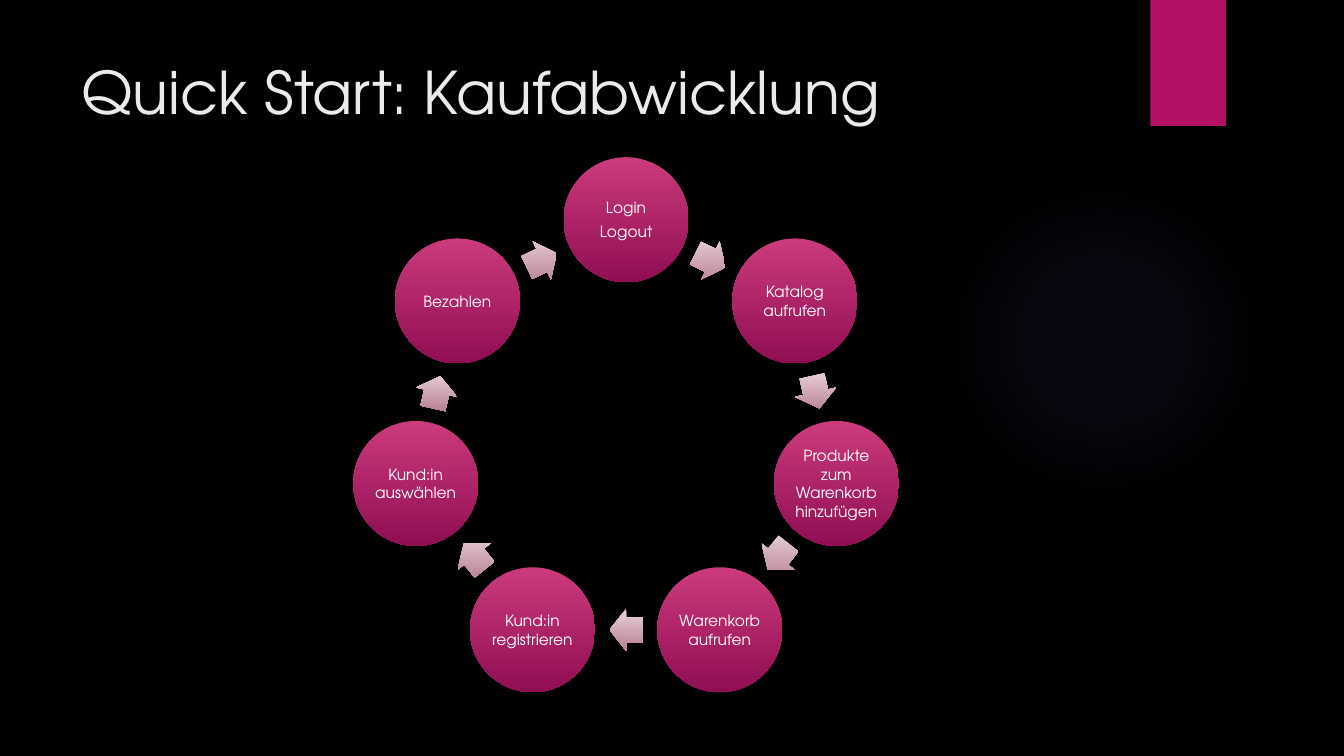
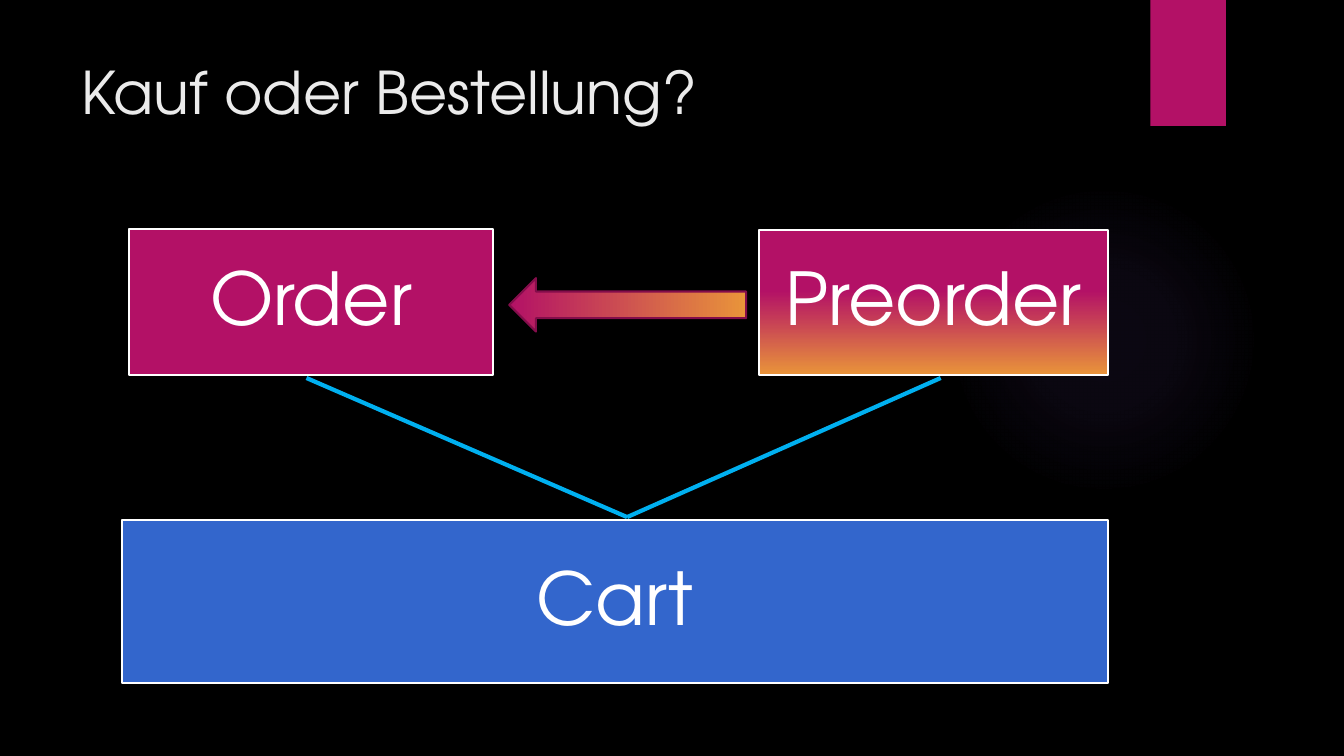
from math import cos, pi, sin

from lxml import etree
from pptx import Presentation
from pptx.dml.color import RGBColor
from pptx.enum import shapes, text
from pptx.oxml.ns import qn
from pptx.util import Inches, Pt

FONT = "TeX Gyre Adventor"
BLACK, WHITE, TITLE = "000000", "FFFFFF", "EBEBEB"
MAGENTA, ORANGE, BLUE, CYAN = "B31166", "E9943A", "3366CC", "00B0F0"
DARK_MAGENTA, VIOLET = "840D4B", "9B6BF2"
STEP_FILL = [(0, "CB3B7C"), (1, "900E52")]
STEP_ARROW_FILL = [(0, "E9D2D9"), (1, "B77E8F")]
GLOW = [(0, 7), (36, 6), (69, 0)]
DOWNWARD, RIGHTWARD = 270, 0

CYCLE_TITLE = "Quick Start: Kaufabwicklung"
STEPS = [
    "Login\nLogout",
    "Katalog aufrufen",
    "Produkte zum Warenkorb hinzufügen",
    "Warenkorb aufrufen",
    "Kund:in registrieren",
    "Kund:in auswählen",
    "Bezahlen",
]
CYCLE_X, CYCLE_Y, CYCLE_RADIUS = 6.21, 4.32, 2.14
STEP_SIZE = 1.24
ARROW_W, ARROW_H = 0.33, 0.42

ORDER_TITLE = "Kauf oder Bestellung?"
BOXES = [
    ("Order", (1.28, 2.27, 3.61, 1.45), MAGENTA),
    ("Preorder", (7.53, 2.28, 3.46, 1.44), [(0.42, MAGENTA), (1, ORANGE)]),
    ("Cart", (1.21, 5.16, 9.78, 1.62), BLUE),
]
ORDER_ARROW = (5.05, 2.76, 2.35, 0.53)
CART_JOINT = (6.22, 5.13)
BRANCH_ENDS = [(3.04, 3.75), (9.33, 3.75)]


def rgb(color):
    return RGBColor.from_string(color)


def paint(shape, fill, angle=DOWNWARD):
    if isinstance(fill, str):
        shape.fill.solid()
        shape.fill.fore_color.rgb = rgb(fill)
        return
    shape.fill.gradient()
    shape.fill.gradient_angle = angle
    for stop, (position, color) in zip(shape.fill.gradient_stops, fill):
        stop.position = position
        stop.color.rgb = rgb(color)
    shape._element.spPr.find(qn("a:gradFill")).set("rotWithShape", "0")


def add_shape(slide, kind, box, fill, line=None, angle=DOWNWARD):
    shape = slide.shapes.add_shape(kind, *map(Inches, box))
    shape.shadow.inherit = False
    paint(shape, fill, angle)
    if line:
        shape.line.color.rgb = rgb(line)
        shape.line.width = Pt(1.5)
    else:
        shape.line.fill.background()
    return shape


def write(shape, words, size, color=WHITE):
    frame = shape.text_frame
    frame.word_wrap = True
    frame.text = words
    for paragraph in frame.paragraphs:
        for run in paragraph.runs:
            run.font.name = FONT
            run.font.size = Pt(size)
            run.font.color.rgb = rgb(color)
    return frame


def write_centred(shape, words, size, inset, line_spacing=1.0):
    frame = write(shape, words, size)
    frame.vertical_anchor = text.MSO_ANCHOR.MIDDLE
    frame.margin_left = frame.margin_right = Inches(inset)
    frame.margin_top = frame.margin_bottom = Inches(inset)
    for paragraph in frame.paragraphs:
        paragraph.alignment = text.PP_ALIGN.CENTER
        paragraph.line_spacing = line_spacing
        paragraph.space_after = Pt(round(size * 0.35))


def add_glow(slide):
    glow = add_shape(slide, shapes.MSO_SHAPE.OVAL, (9.41, 1.83, 3.08, 3.08), VIOLET)
    solid = glow._element.spPr.find(qn("a:solidFill"))
    gradient = etree.Element(qn("a:gradFill"), rotWithShape="1")
    stops = etree.SubElement(gradient, qn("a:gsLst"))
    for position, alpha in GLOW:
        stop = etree.SubElement(stops, qn("a:gs"), pos=str(position * 1000))
        color = etree.SubElement(stop, qn("a:srgbClr"), val=VIOLET)
        etree.SubElement(color, qn("a:alpha"), val=str(alpha * 1000))
    circle = etree.SubElement(gradient, qn("a:path"))
    circle.set("path", "circle")
    etree.SubElement(circle, qn("a:fillToRect"), l="50000", t="50000", r="50000", b="50000")
    solid.getparent().replace(solid, gradient)


def add_slide(prs, title):
    slide = prs.slides.add_slide(prs.slide_layouts[6])
    slide.background.fill.solid()
    slide.background.fill.fore_color.rgb = rgb(BLACK)
    add_glow(slide)
    add_shape(slide, shapes.MSO_SHAPE.RECTANGLE, (11.41, 0, 0.75, 1.25), MAGENTA)
    heading = slide.shapes.add_textbox(*map(Inches, (0.71, 0.5, 10.29, 1.24)))
    write(heading, title, 42, TITLE)
    return slide


def cycle_box(angle, radius, width, height):
    x = CYCLE_X + radius * sin(angle)
    y = CYCLE_Y - radius * cos(angle)
    return x - width / 2, y - height / 2, width, height


def add_cycle(slide):
    turn = 2 * pi / len(STEPS)
    for i, words in enumerate(STEPS):
        box = cycle_box(i * turn, CYCLE_RADIUS, STEP_SIZE, STEP_SIZE)
        step = add_shape(slide, shapes.MSO_SHAPE.OVAL, box, STEP_FILL)
        write_centred(step, words, 11, 0.02)

        halfway = (i + 0.5) * turn
        box = cycle_box(halfway, CYCLE_RADIUS * cos(turn / 2), ARROW_W, ARROW_H)
        arrow = add_shape(slide, shapes.MSO_SHAPE.RIGHT_ARROW, box, STEP_ARROW_FILL)
        arrow.adjustments[0] = 0.6
        arrow.adjustments[1] = 0.5
        arrow.rotation = (i + 0.5) * 360 / len(STEPS)


def add_order_model(slide):
    for words, box, fill in BOXES:
        entity = add_shape(slide, shapes.MSO_SHAPE.RECTANGLE, box, fill, WHITE)
        write_centred(entity, words, 52, 0.22, 0.9)
    add_shape(slide, shapes.MSO_SHAPE.LEFT_ARROW, ORDER_ARROW,
              [(0, MAGENTA), (1, ORANGE)], DARK_MAGENTA, RIGHTWARD)
    for end in BRANCH_ENDS:
        branch = slide.shapes.add_connector(
            shapes.MSO_CONNECTOR.STRAIGHT, *map(Inches, CART_JOINT + end))
        branch.line.color.rgb = rgb(CYAN)
        branch.line.width = Pt(3)
        etree.SubElement(branch._element.spPr, qn("a:effectLst"))


def main():
    prs = Presentation()
    prs.slide_width, prs.slide_height = Inches(13.33), Inches(7.5)
    add_cycle(add_slide(prs, CYCLE_TITLE))
    add_order_model(add_slide(prs, ORDER_TITLE))
    prs.save("out.pptx")


if __name__ == "__main__":
    main()
